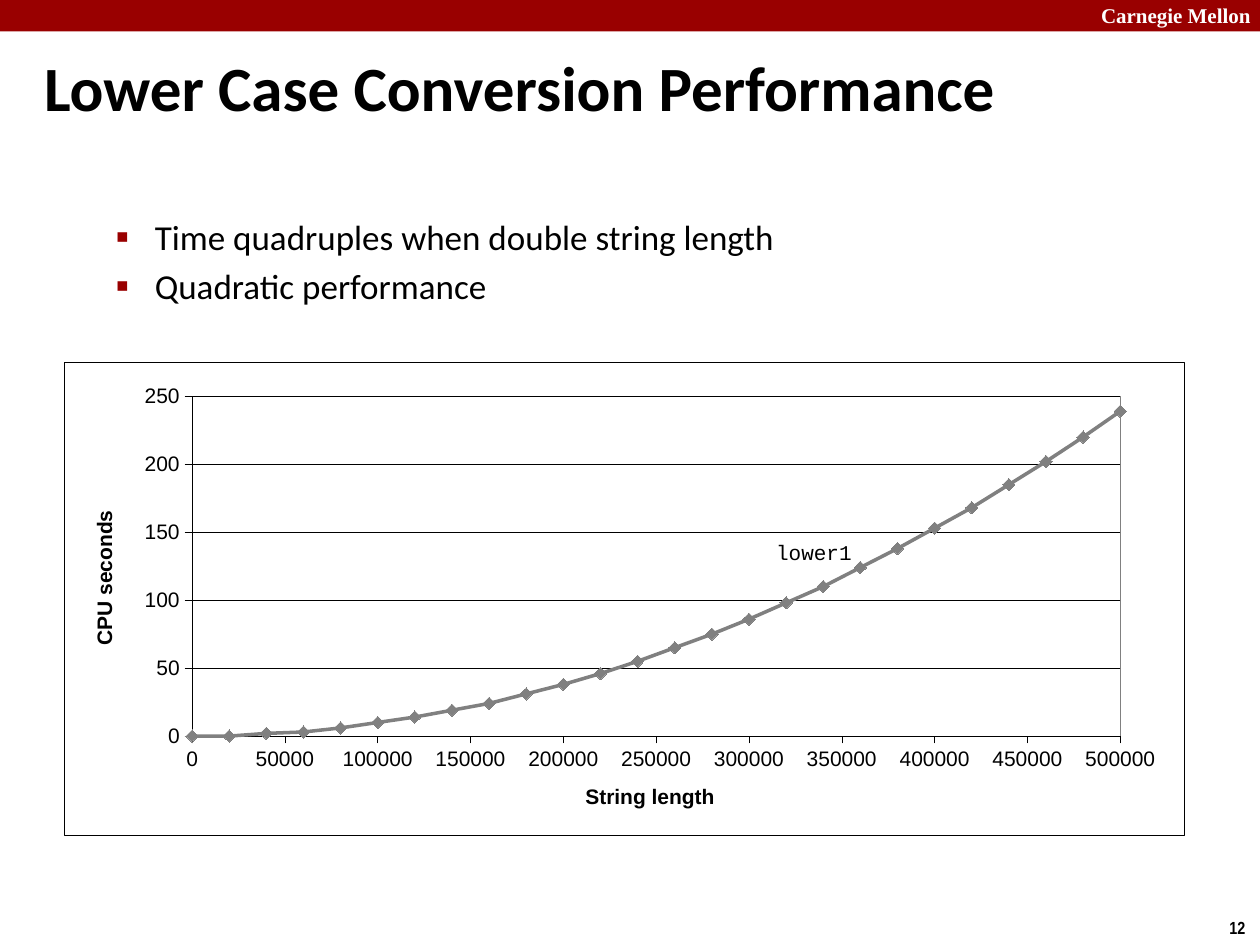
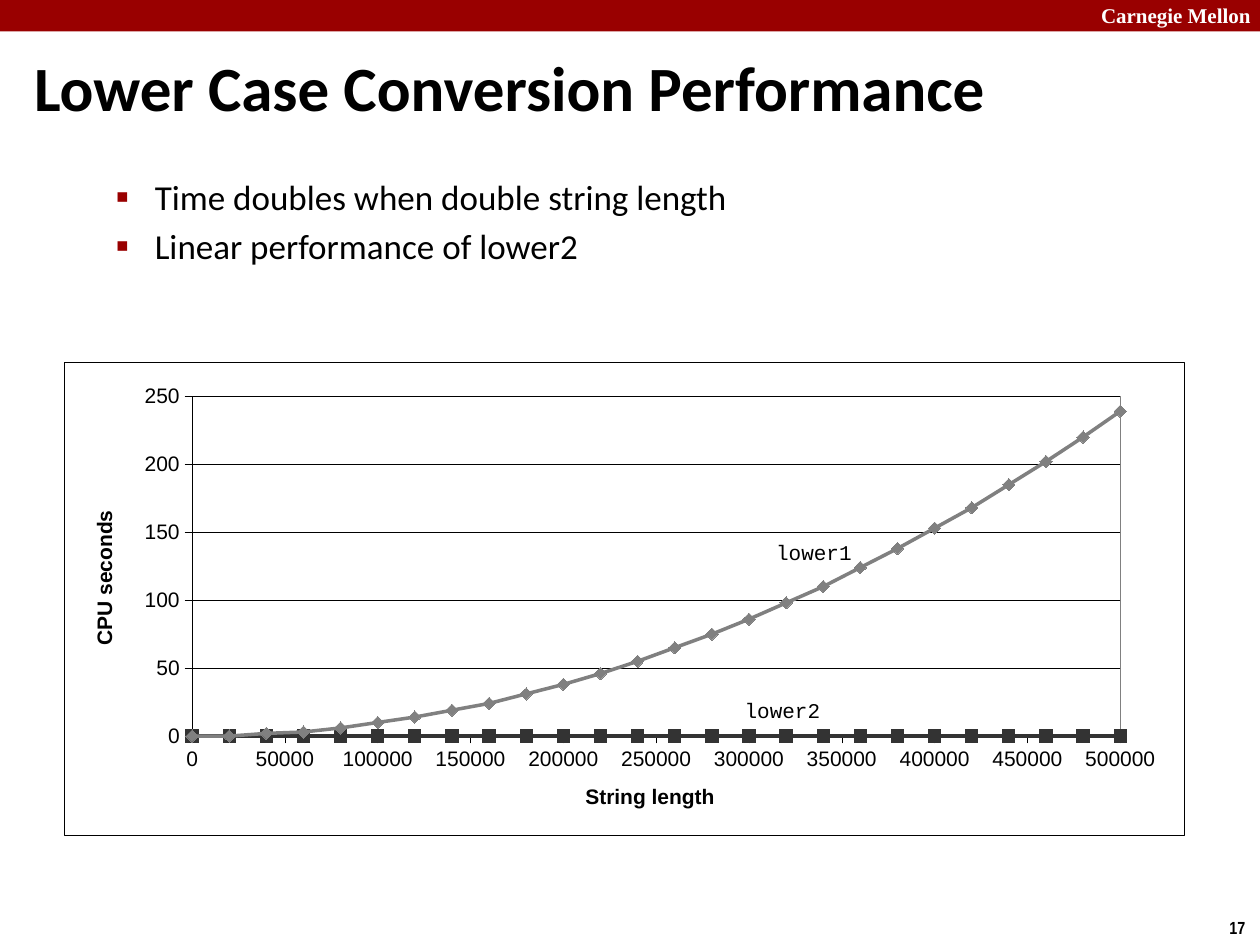
from lxml import etree
from pptx import Presentation
from pptx.chart.data import XyChartData
from pptx.dml.color import RGBColor
from pptx.enum.chart import XL_CHART_TYPE, XL_MARKER_STYLE, XL_TICK_MARK
from pptx.enum.shapes import MSO_SHAPE
from pptx.enum.text import MSO_ANCHOR, MSO_AUTO_SIZE, PP_ALIGN
from pptx.oxml import parse_xml
from pptx.oxml.ns import nsdecls, qn
from pptx.util import Inches, Pt

SCATTER = XL_CHART_TYPE.XY_SCATTER_SMOOTH
DIAMOND, SQUARE = XL_MARKER_STYLE.DIAMOND, XL_MARKER_STYLE.SQUARE
OUTSIDE, NO_TICK = XL_TICK_MARK.OUTSIDE, XL_TICK_MARK.NONE
RECTANGLE = MSO_SHAPE.RECTANGLE
MIDDLE = MSO_ANCHOR.MIDDLE
GROW, FIXED = MSO_AUTO_SIZE.SHAPE_TO_FIT_TEXT, MSO_AUTO_SIZE.NONE
LEFT = PP_ALIGN.LEFT

CRIMSON, BLACK, WHITE, GREY, DARK = "990000", "000000", "FFFFFF", "808080", "333333"
TITLE = "Lower Case Conversion Performance"
LENGTHS = range(0, 500001, 20000)
LOWER1_SECONDS = [0, 0, 2, 3, 6, 10, 14, 19, 24, 31, 38, 46, 55, 65, 75, 86,
                  98, 110, 124, 138, 153, 168, 185, 202, 220, 239]
LOWER1 = ("Series 1", LOWER1_SECONDS, GREY, DIAMOND, DARK)
LOWER2 = ("Series 2", [0] * len(LENGTHS), DARK, SQUARE, BLACK)
PLOT_LAYOUT = {"x": 0.114, "y": 0.073, "w": 0.829, "h": 0.718}


def color(value):
    return RGBColor.from_string(value)


def inches(*lengths):
    return [Inches(length) for length in lengths]


def style_font(font, name, size, shade=BLACK, bold=False):
    font.name = name
    font.size = Pt(size)
    font.bold = bold
    font.color.rgb = color(shade)


def style_line(line, shade=BLACK, width=0.25):
    line.color.rgb = color(shade)
    line.width = Pt(width)


def frame_xml(fill, shade):
    return parse_xml(
        f'<c:spPr {nsdecls("c", "a")}>{fill}<a:ln w="3175"><a:solidFill>'
        f'<a:srgbClr val="{shade}"/></a:solidFill></a:ln></c:spPr>')


class Slides:
    def __init__(self):
        self.deck = Presentation()
        self.deck.slide_width, self.deck.slide_height = inches(10, 7.5)
        self.page = None

    def start(self, number, title_left, title_width):
        self.page = self.deck.slides.add_slide(self.deck.slide_layouts[5])
        self.title(title_left, title_width)
        self.band()
        self.text("Carnegie Mellon", (8.64, -0.03, 1.43, 0.3),
                  "Times New Roman", 12, WHITE, bold=True, wrap=True)
        self.text(str(number), (9.66, 7.23, 0.34, 0.27), "Arial Narrow", 10, bold=True)

    def title(self, left, width):
        box = self.page.shapes.title
        box.left, box.top, box.width, box.height = inches(left, 0.37, width, 0.63)
        frame = box.text_frame
        frame.text = TITLE
        frame.auto_size = FIXED
        frame.vertical_anchor = MIDDLE
        para = frame.paragraphs[0]
        para.alignment = LEFT
        style_font(para.runs[0].font, "Calibri", 36, bold=True)

    def band(self):
        band = self.page.shapes.add_shape(RECTANGLE, *inches(0, 0, 10, 0.25))
        band.shadow.inherit = False
        band.fill.solid()
        band.fill.fore_color.rgb = color(CRIMSON)
        band.line.fill.background()

    def text(self, words, at, font, size, shade=BLACK, bold=False, wrap=False, insets=None):
        box = self.page.shapes.add_textbox(*inches(*at))
        frame = box.text_frame
        frame.word_wrap = wrap
        frame.auto_size = GROW
        if insets:
            (frame.margin_left, frame.margin_top,
             frame.margin_right, frame.margin_bottom) = inches(*insets)
        frame.text = words
        style_font(frame.paragraphs[0].runs[0].font, font, size, shade, bold)

    def curve_label(self, words, left, top):
        self.text(words, (left, top, 0.64, 0.24), "Courier New", 12,
                  insets=(0.03, 0.03, 0, 0))

    def bullets(self, lines, top):
        frame = self.page.shapes.add_textbox(*inches(0.32, top, 9.09, 0.99)).text_frame
        frame.word_wrap = True
        frame.text = "\n".join(lines)
        for index, para in enumerate(frame.paragraphs):
            properties = para._p.get_or_add_pPr()
            properties.set("marL", str(Inches(0.81)))
            properties.set("indent", str(Inches(-0.31)))
            shade = etree.SubElement(properties, qn("a:buClr"))
            etree.SubElement(shade, qn("a:srgbClr"), val=CRIMSON)
            etree.SubElement(properties, qn("a:buSzPct"), val="110000")
            etree.SubElement(properties, qn("a:buFont"), typeface="Arial")
            etree.SubElement(properties, qn("a:buChar"), char="▪")
            if index:
                para.space_before = Pt(4)
            style_font(para.runs[0].font, "Calibri", 20)

    def axis(self, axis, title, maximum, step):
        axis.minimum_scale, axis.maximum_scale, axis.major_unit = 0, maximum, step
        axis.major_tick_mark, axis.minor_tick_mark = OUTSIDE, NO_TICK
        axis.tick_labels.number_format = "0"
        axis.tick_labels.number_format_is_linked = False
        style_font(axis.tick_labels.font, "Arial", 12)
        style_line(axis.format.line)
        frame = axis.axis_title.text_frame
        frame.text = title
        style_font(frame.paragraphs[0].runs[0].font, "Arial", 12, bold=True)

    def chart(self, curves):
        data = XyChartData()
        for name, seconds, *_ in curves:
            points = data.add_series(name)
            for length, second in zip(LENGTHS, seconds):
                points.add_data_point(length, second)
        chart = self.page.shapes.add_chart(
            SCATTER, *inches(0.51, 2.87, 8.89, 3.76), data).chart
        chart.has_title = False
        chart.has_legend = False
        style_font(chart.font, "Arial", 12)
        self.axis(chart.category_axis, "String length", 500000, 50000)
        self.axis(chart.value_axis, "CPU seconds", 250, 50)
        chart.category_axis.has_major_gridlines = False
        chart.value_axis.has_major_gridlines = True
        style_line(chart.value_axis.major_gridlines.format.line)
        plot = chart.plots[0]
        plot.vary_by_categories = False
        for series, (_, _, shade, marker, outline) in zip(plot.series, curves):
            series.smooth = True
            style_line(series.format.line, shade, 2)
            series.marker.style = marker
            series.marker.size = 7
            series.marker.format.fill.solid()
            series.marker.format.fill.fore_color.rgb = color(shade)
            style_line(series.marker.format.line, outline, 0.75)
        self.chart_frames(chart.element)

    def chart_frames(self, space):
        area = space.find(".//" + qn("c:plotArea"))
        for layout in area.findall(qn("c:layout")):
            area.remove(layout)
        layout = etree.Element(qn("c:layout"))
        manual = etree.SubElement(layout, qn("c:manualLayout"))
        etree.SubElement(manual, qn("c:layoutTarget"), val="inner")
        for side in "xy":
            etree.SubElement(manual, qn(f"c:{side}Mode"), val="edge")
        for side, share in PLOT_LAYOUT.items():
            etree.SubElement(manual, qn(f"c:{side}"), val=str(share))
        area.insert(0, layout)
        area.append(frame_xml("<a:noFill/>", GREY))
        white = f'<a:solidFill><a:srgbClr val="{WHITE}"/></a:solidFill>'
        space.find(qn("c:chart")).addnext(frame_xml(white, BLACK))


def main():
    slides = Slides()

    slides.start(12, 0.25, 9.49)
    slides.bullets(["Time quadruples when double string length",
                    "Quadratic performance"], 1.66)
    slides.chart([LOWER1])
    slides.curve_label("lower1", 6.13, 4.25)

    slides.start(17, 0.17, 9.58)
    slides.bullets(["Time doubles when double string length",
                    "Linear performance of lower2"], 1.34)
    slides.chart([LOWER1, LOWER2])
    slides.curve_label("lower1", 6.13, 4.25)
    slides.curve_label("lower2", 5.88, 5.51)

    slides.deck.save("out.pptx")


if __name__ == "__main__":
    main()
